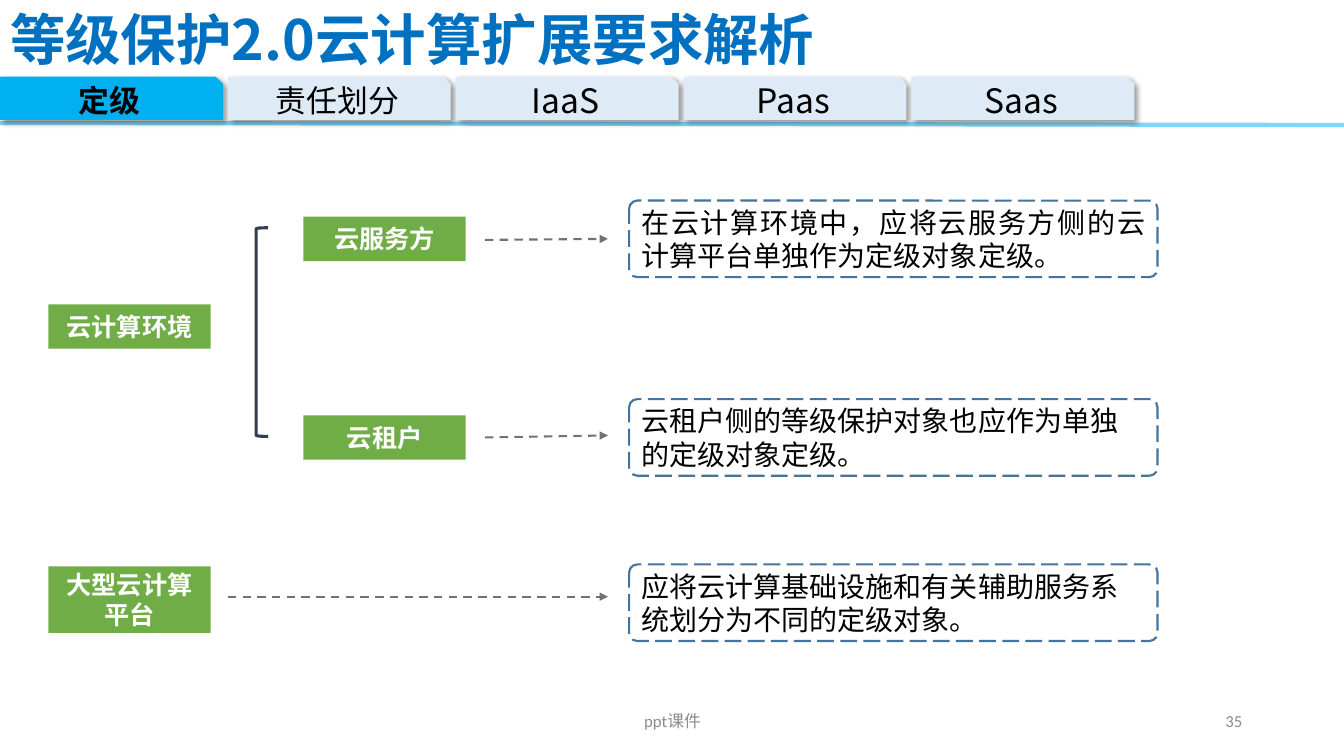
from lxml import etree
from pptx import Presentation
from pptx.dml.color import RGBColor
from pptx.enum.dml import MSO_LINE
from pptx.enum.shapes import MSO_CONNECTOR, MSO_SHAPE
from pptx.enum.text import MSO_ANCHOR, MSO_AUTO_SIZE, PP_ALIGN
from pptx.oxml.ns import qn
from pptx.util import Inches, Pt

RECT, ROUND = MSO_SHAPE.RECTANGLE, MSO_SHAPE.ROUNDED_RECTANGLE
SNIP, BRACKET = MSO_SHAPE.SNIP_1_RECTANGLE, MSO_SHAPE.LEFT_BRACKET
STRAIGHT = MSO_CONNECTOR.STRAIGHT
DASH, LONG_DASH = MSO_LINE.DASH, MSO_LINE.LONG_DASH
LEFT, CENTER, RIGHT, JUSTIFY = (PP_ALIGN.LEFT, PP_ALIGN.CENTER,
                                PP_ALIGN.RIGHT, PP_ALIGN.JUSTIFY)
MIDDLE, NO_FIT = MSO_ANCHOR.MIDDLE, MSO_AUTO_SIZE.NONE

# Content
TITLE = "等级保护2.0云计算扩展要求解析"
TABS = [("定级", 22), ("责任划分", 22), ("IaaS", 24), ("Paas", 24), ("Saas", 24)]
ACTIVE_TAB = 0
LABELS = [  # text, left, top, height
    ("云计算环境", 0.48, 3.02, 0.44),
    ("云服务方", 3.01, 2.15, 0.44),
    ("云租户", 3.01, 4.12, 0.44),
    ("大型云计算平台", 0.48, 5.62, 0.66),
]
RULES = [  # text, top, alignment
    ("在云计算环境中，应将云服务方侧的云计算平台单独作为定级对象定级。", 1.99, JUSTIFY),
    ("云租户侧的等级保护对象也应作为单独的定级对象定级。", 3.96, LEFT),
    ("应将云计算基础设施和有关辅助服务系统划分为不同的定级对象。", 5.6, LEFT),
]
ARROWS = [(4.81, 2.38, 2.37), (4.81, 4.34, 4.32), (2.26, 5.92, 5.92)]  # x, y, end y
ARROW_END = 6.03
FOOTERS = [("ppt课件", 4.42, 4.5, CENTER), ("35", 9.42, 3, RIGHT)]

THEME = {
    "font": "Noto Sans CJK SC", "footer_font": "Calibri",
    "title": "0070C0", "text": "000000", "white": "FFFFFF", "footer": "8C8C8C",
    "active": "00B0F0", "tab": "DEEBF7", "label": "70AD47",
    "rule_line": "43739E", "bracket": "333F50", "arrow": "767171",
    "title_size": 39.6, "rule_size": 20, "label_size": 18, "footer_size": 12,
}


def color(name):
    return RGBColor.from_string(THEME[name])


def write(s, text, size, ink, align, bold=False, font="font"):
    tf = s.text_frame
    tf.auto_size = NO_FIT
    tf.word_wrap = True
    tf.vertical_anchor = MIDDLE
    p = tf.paragraphs[0]
    p.alignment = align
    r = p.add_run()
    r.text = text
    r.font.name = THEME[font]
    r.font.size = Pt(size)
    r.font.bold = bold
    r.font.color.rgb = color(ink)
    ea = etree.SubElement(r._r.get_or_add_rPr(), qn("a:ea"))
    ea.set("typeface", THEME["font"])


def set_line(s, ink, width, dash=None):
    s.line.color.rgb = color(ink)
    s.line.width = Pt(width)
    if dash:
        s.line.dash_style = dash


def add_box(kind, x, y, w, h, fill=None):
    s = slide.shapes.add_shape(kind, Inches(x), Inches(y), Inches(w), Inches(h))
    s.shadow.inherit = False
    s.line.fill.background()
    if fill:
        s.fill.solid()
        s.fill.fore_color.rgb = color(fill)
    else:
        s.fill.background()
    return s


def add_line(x1, y1, x2, y2, ink, width, dash=None):
    s = slide.shapes.add_connector(STRAIGHT, Inches(x1), Inches(y1),
                                   Inches(x2), Inches(y2))
    set_line(s, ink, width, dash)
    etree.SubElement(s._element.spPr, qn("a:effectLst"))
    return s


def add_shadow(s):
    effects = s._element.spPr.find(qn("a:effectLst"))
    shadow = etree.SubElement(effects, qn("a:outerShdw"), blurRad=str(Pt(4)),
                              dist=str(Pt(3)), dir=str(45 * 60000),
                              algn="tl", rotWithShape="0")
    black = etree.SubElement(shadow, qn("a:srgbClr"), val="000000")
    etree.SubElement(black, qn("a:alpha"), val="40000")


prs = Presentation()
prs.slide_width, prs.slide_height = Inches(13.33), Inches(7.5)
slide = prs.slides.add_slide(prs.slide_layouts[5])

# Title
title = slide.shapes.title
title.left, title.top = Inches(0), Inches(0.01)
title.width, title.height = Inches(8.61), Inches(0.75)
write(title, TITLE, THEME["title_size"], "title", JUSTIFY, bold=True)

# Half-transparent line under the tabs
underline = add_line(0, 1.22, 13.33, 1.24, "active", 3)
ink = underline._element.spPr.find(".//" + qn("a:srgbClr"))
etree.SubElement(ink, qn("a:alpha"), val="50000")

# Tabs
for i, (text, size) in enumerate(TABS):
    active = i == ACTIVE_TAB
    s = add_box(SNIP, i * 2.26, 0.76, 2.21, 0.43, "active" if active else "tab")
    add_shadow(s)
    write(s, text, size, "text", CENTER, bold=active)

# Green labels and their bracket
for text, x, y, h in LABELS:
    s = add_box(RECT, x, y, 1.61, h, "label")
    write(s, text, THEME["label_size"], "white", CENTER, bold=True)
set_line(add_box(BRACKET, 2.54, 2.26, 0.12, 2.07), "bracket", 2.25)

# Dashed rule boxes
for text, y, align in RULES:
    s = add_box(ROUND, 6.24, y, 5.24, 0.76)
    s.adjustments[0] = 0.106
    set_line(s, "rule_line", 1.5, LONG_DASH)
    write(s, text, THEME["rule_size"], "text", align)

# Arrows from labels to rules
for x, y, end_y in ARROWS:
    s = add_line(x, y, ARROW_END, end_y, "arrow", 1.5, DASH)
    etree.SubElement(s.line._get_or_add_ln(), qn("a:tailEnd"), type="triangle")

# Footer and page number
for text, x, w, align in FOOTERS:
    s = slide.shapes.add_textbox(Inches(x), Inches(6.95), Inches(w), Inches(0.4))
    write(s, text, THEME["footer_size"], "footer", align, font="footer_font")

prs.save("out.pptx")
